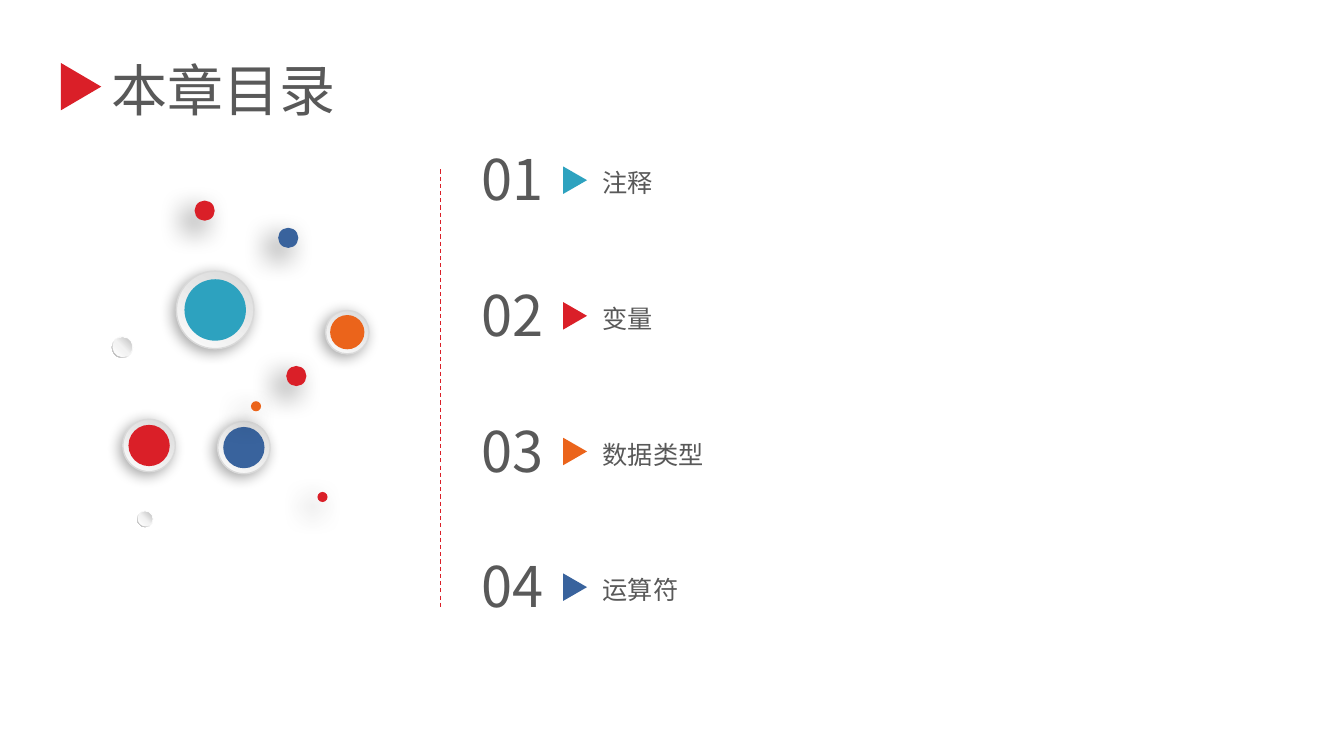
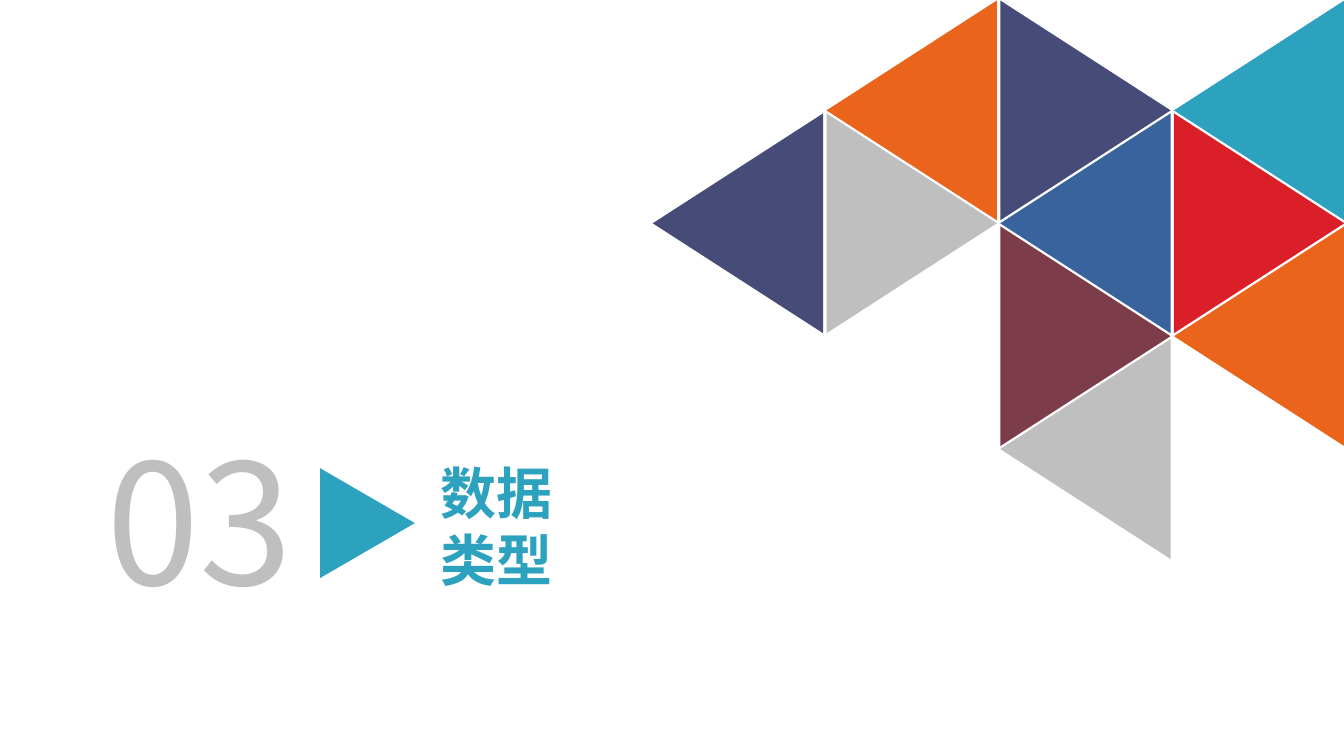
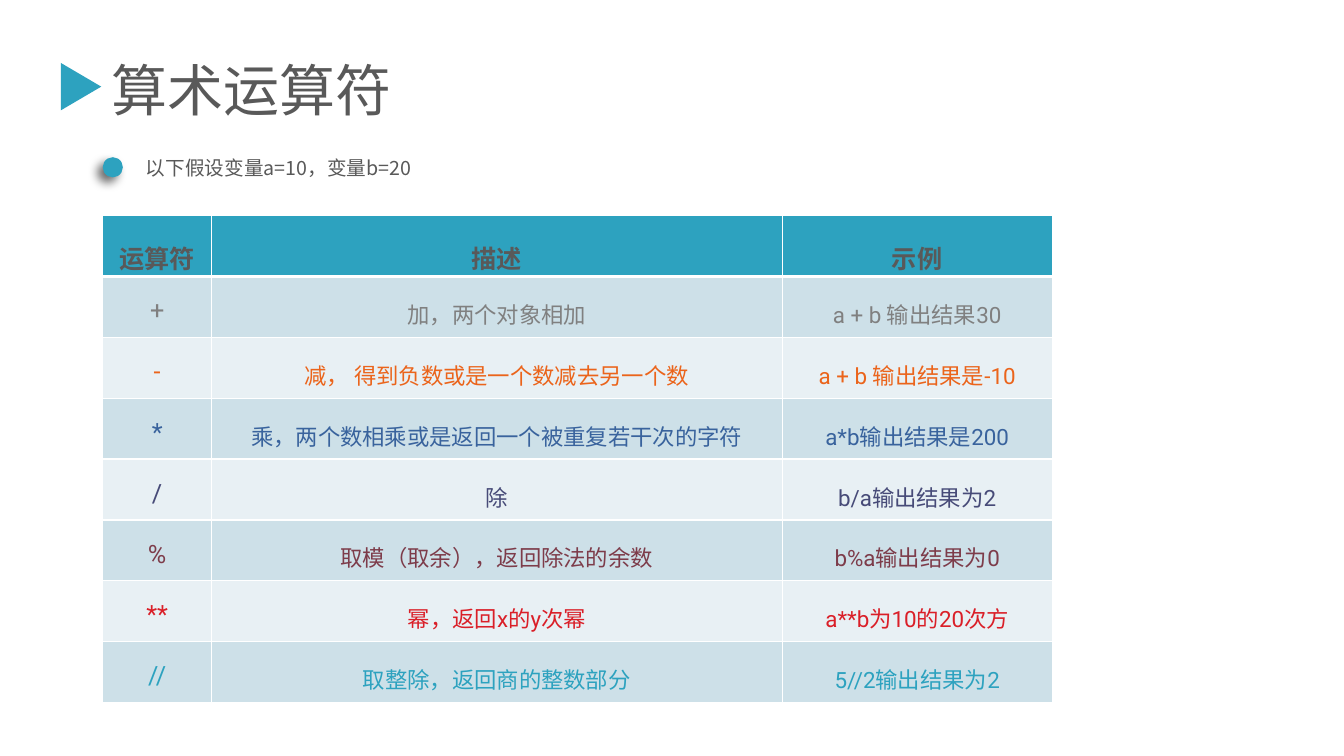
"""Build three slides of a Python course: contents, section opener and operator table."""
from lxml import etree
from pptx import Presentation
from pptx.dml.color import RGBColor
from pptx.enum.dml import MSO_LINE
from pptx.enum.shapes import MSO_CONNECTOR, MSO_SHAPE
from pptx.enum.text import MSO_ANCHOR, MSO_AUTO_SIZE, PP_ALIGN
from pptx.oxml import parse_xml
from pptx.oxml.ns import qn
from pptx.util import Pt

TEAL, RED, ORANGE, BLUE = "2DA2BF", "DA1F28", "EB641B", "39639D"
NAVY, WINE, SILVER, GREY, WHITE = "474B78", "7D3C4A", "BFBFBF", "595959", "FFFFFF"
CJK, LATIN = "Noto Sans CJK SC", "Roboto"
NS = 'xmlns:a="http://schemas.openxmlformats.org/drawingml/2006/main"'

CHAPTERS = [("注释", TEAL), ("变量", RED), ("数据类型", ORANGE), ("运算符", BLUE)]

RING_DISCS = [
    (126, 193.7, 55.4, 43.9, TEAL),
    (87.8, 299.5, 37.4, 29.5, RED),
    (155.5, 301, 37.4, 29.5, BLUE),
    (232.6, 221.8, 31, 24.5, ORANGE),
]
DOTS = [
    (204.5, 261.4, 14.4, RED),
    (198.7, 162.7, 14.4, BLUE),
    (226.8, 351.4, 7.2, RED),
    (139, 143.3, 14.4, RED),
    (179.3, 286.6, 7.2, ORANGE),
]
PEARLS = [(97.9, 365, 11.5), (79.9, 240.5, 15.1)]
RING_STOPS = [(0, "D9D9D9"), (100, "FCFCFC")]
RIM_STOPS = [(0, WHITE), (55, "F2F2F2"), (100, "A6A6A6")]
PEARL_STOPS = [(0, WHITE), (51, "F2F2F2"), (100, SILVER)]

MOSAIC = [
    (3, 0, TEAL), (3, 1, RED), (3, 2, ORANGE),
    (2, 0, NAVY), (2, 1, BLUE), (2, 2, WINE), (2, 3, SILVER),
    (1, 0, ORANGE), (1, 1, SILVER), (0, 1, NAVY),
]

HEADINGS = ("运算符", "描述", "示例")
OPERATORS = [
    ("+", "加，两个对象相加", "a + b 输出结果30", "808080"),
    ("-", "减， 得到负数或是一个数减去另一个数", "a + b 输出结果是-10", ORANGE),
    ("*", "乘，两个数相乘或是返回一个被重复若干次的字符", "a*b输出结果是200", BLUE),
    ("/", "除", "b/a输出结果为2", NAVY),
    ("%", "取模（取余），返回除法的余数", "b%a输出结果为0", WINE),
    ("**", "幂，返回x的y次幂", "a**b为10的20次方", RED),
    ("//", "取整除，返回商的整数部分", "5//2输出结果为2", TEAL),
]
COLUMN_WIDTHS = (77.8, 407.5, 193)
ROW_HEIGHT = 43.47
BANDS = ("CDE0E8", "E8F0F4")

FRAME_FORMAT = {
    "word_wrap": True,
    "auto_size": MSO_AUTO_SIZE.NONE,
    "vertical_anchor": MSO_ANCHOR.MIDDLE,
    "margin_left": Pt(7.2),
    "margin_right": Pt(7.2),
    "margin_top": Pt(3.6),
    "margin_bottom": Pt(3.6),
}
CELL_FORMAT = {"vertical_anchor": MSO_ANCHOR.TOP, "margin_top": Pt(3.6), "margin_bottom": 0}


def rgb(code):
    return RGBColor.from_string(code)


def apply(target, formats):
    for name, value in formats.items():
        setattr(target, name, value)


def write(frame, text, size, color, bold=False, align=PP_ALIGN.LEFT, spacing=None, latin=CJK):
    paragraph = frame.paragraphs[0]
    apply(paragraph, {"alignment": align, "line_spacing": spacing})
    run = paragraph.add_run()
    run.text = text
    apply(run.font, {"size": Pt(size), "bold": bold, "name": latin})
    run.font.color.rgb = rgb(color)
    etree.SubElement(run.font._element, qn("a:ea")).set("typeface", CJK)


def add_label(slide, box, text, size, color, **options):
    label = slide.shapes.add_textbox(*map(Pt, box))
    apply(label.text_frame, FRAME_FORMAT)
    write(label.text_frame, text, size, color, **options)


def add_title(slide, box, text, color=GREY, **options):
    title = slide.shapes.title
    apply(title, dict(zip(("left", "top", "width", "height"), map(Pt, box))))
    apply(title.text_frame, FRAME_FORMAT)
    write(title.text_frame, text, 40, color, **options)


def add_figure(slide, preset, box, fill, turn=0):
    figure = slide.shapes.add_shape(preset, *map(Pt, box))
    figure.rotation = turn
    figure.shadow.inherit = False
    figure.fill.solid()
    figure.fill.fore_color.rgb = rgb(fill)
    figure.line.fill.background()
    return figure


def add_triangle(slide, box, fill, turn=90):
    add_figure(slide, MSO_SHAPE.ISOSCELES_TRIANGLE, box, fill, turn)


def add_disc(slide, left, top, size, fill, preset=MSO_SHAPE.OVAL):
    return add_figure(slide, preset, (left, top, size, size), fill)


def blend(figure, stops, angle):
    marks = "".join(
        f'<a:gs pos="{place * 1000}"><a:srgbClr val="{color}"/></a:gs>' for place, color in stops
    )
    gradient = parse_xml(
        f'<a:gradFill {NS} rotWithShape="1"><a:gsLst>{marks}</a:gsLst>'
        f'<a:lin ang="{angle * 60000}" scaled="0"/></a:gradFill>'
    )
    properties = figure._element.spPr
    properties.replace(properties.find(qn("a:solidFill")), gradient)


def cast_shadow(figure, opacity, blur, distance, angle=135):
    figure._element.spPr.find(qn("a:effectLst")).append(parse_xml(
        f'<a:outerShdw {NS} blurRad="{Pt(blur)}" dist="{Pt(distance)}" dir="{angle * 60000}" '
        f'algn="ctr" rotWithShape="0"><a:srgbClr val="000000">'
        f'<a:alpha val="{opacity * 1000}"/></a:srgbClr></a:outerShdw>'
    ))


def add_heading(slide, text, marker):
    add_title(slide, (72.7, 36.2, 470, 55.4), text)
    add_triangle(slide, (41, 47.5, 33.8, 28.8), marker)


def add_bubbles(slide):
    for left, top, size, core, color in RING_DISCS:
        ring = add_disc(slide, left, top, size, WHITE)
        blend(ring, RING_STOPS, 120)
        ring.line.color.rgb = rgb("D9D9D9")
        ring.line.width = Pt(1)
        cast_shadow(ring, 34, 10, 3, 136)
        inset = (size - core) / 2
        add_disc(slide, left + inset, top + inset, core, color)
    for left, top, size, color in DOTS:
        cast_shadow(add_disc(slide, left, top, size, color), 60, 20, 10)
    for left, top, size in PEARLS:
        rim = add_disc(slide, left, top, size, WHITE, MSO_SHAPE.DONUT)
        rim.adjustments[0] = 0.05
        blend(rim, RIM_STOPS, 135)
        blend(add_disc(slide, left + 0.7, top + 0.7, size - 1.4, WHITE), PEARL_STOPS, 315)


def build_contents(slide):
    add_heading(slide, "本章目录", RED)
    add_bubbles(slide)
    divider = slide.shapes.add_connector(
        MSO_CONNECTOR.STRAIGHT, Pt(314.6), Pt(121), Pt(314.6), Pt(434.9))
    divider.line.color.rgb = rgb(RED)
    apply(divider.line, {"width": Pt(0.75), "dash_style": MSO_LINE.DASH})
    etree.SubElement(divider._element.spPr, qn("a:effectLst"))
    for index, (chapter, color) in enumerate(CHAPTERS):
        top = 100.8 + 96.9 * index
        add_triangle(slide, (401, top + 19.4, 19.6, 17), color)
        add_label(slide, (337, top - 1, 64.8, 55.4), f"{index + 1:02}", 40, GREY)
        add_label(slide, (423.4, top + 6.3, 324.7, 36), chapter, 18, GREY, spacing=1.5)


def build_section(slide):
    for column, row, color in MOSAIC:
        box = (448.6 + 124.1 * column, 18 + 80.64 * row, 157, 121.7)
        add_triangle(slide, box, color, 270 if (column + row) % 2 else 90)
    add_title(slide, (307.4, 323, 132.5, 104.4), "数据类型", TEAL, bold=True, spacing=Pt(48))
    add_label(slide, (34.6, 294, 216, 152.6), "03", 120, SILVER, align=PP_ALIGN.CENTER)
    add_triangle(slide, (223.2, 339.8, 78.5, 67.7), TEAL)


def fill_cell(cell, row, text, size, color, fill):
    apply(cell, CELL_FORMAT)
    write(cell.text_frame, text, size, color, bold=row == 0,
          align=PP_ALIGN.CENTER, spacing=1.5, latin=LATIN)
    cell.fill.solid()
    cell.fill.fore_color.rgb = rgb(fill)
    widths = {"L": 1, "R": 1, "T": 3 if row == 1 else 1, "B": 3 if row == 0 else 1}
    for place, (side, width) in enumerate(widths.items()):
        cell._tc.tcPr.insert(place, parse_xml(
            f'<a:ln{side} {NS} w="{Pt(width)}"><a:solidFill><a:srgbClr val="{WHITE}"/>'
            f'</a:solidFill></a:ln{side}>'
        ))


def build_operators(slide):
    add_heading(slide, "算术运算符", TEAL)
    cast_shadow(add_disc(slide, 73.4, 112.3, 14.4, TEAL), 57, 7, 5)
    add_label(slide, (97.2, 107.3, 424, 24.5), "以下假设变量a=10，变量b=20", 14, GREY)
    rows = [(*HEADINGS, GREY)] + OPERATORS
    box = (73.4, 154.1, sum(COLUMN_WIDTHS), ROW_HEIGHT * len(rows))
    table = slide.shapes.add_table(len(rows), len(HEADINGS), *map(Pt, box)).table
    for column, width in zip(table.columns, COLUMN_WIDTHS):
        column.width = Pt(width)
    for row, (*texts, color) in enumerate(rows):
        table.rows[row].height = Pt(ROW_HEIGHT)
        fill = BANDS[(row - 1) % 2] if row else TEAL
        for column, text in enumerate(texts):
            size = 16 if row and column else 18
            fill_cell(table.cell(row, column), row, text, size, color, fill)


def main():
    deck = Presentation()
    apply(deck, {"slide_width": Pt(960), "slide_height": Pt(540)})
    title_only = deck.slide_layouts[5]
    for build in (build_contents, build_section, build_operators):
        build(deck.slides.add_slide(title_only))
    deck.save("out.pptx")


if __name__ == "__main__":
    main()
